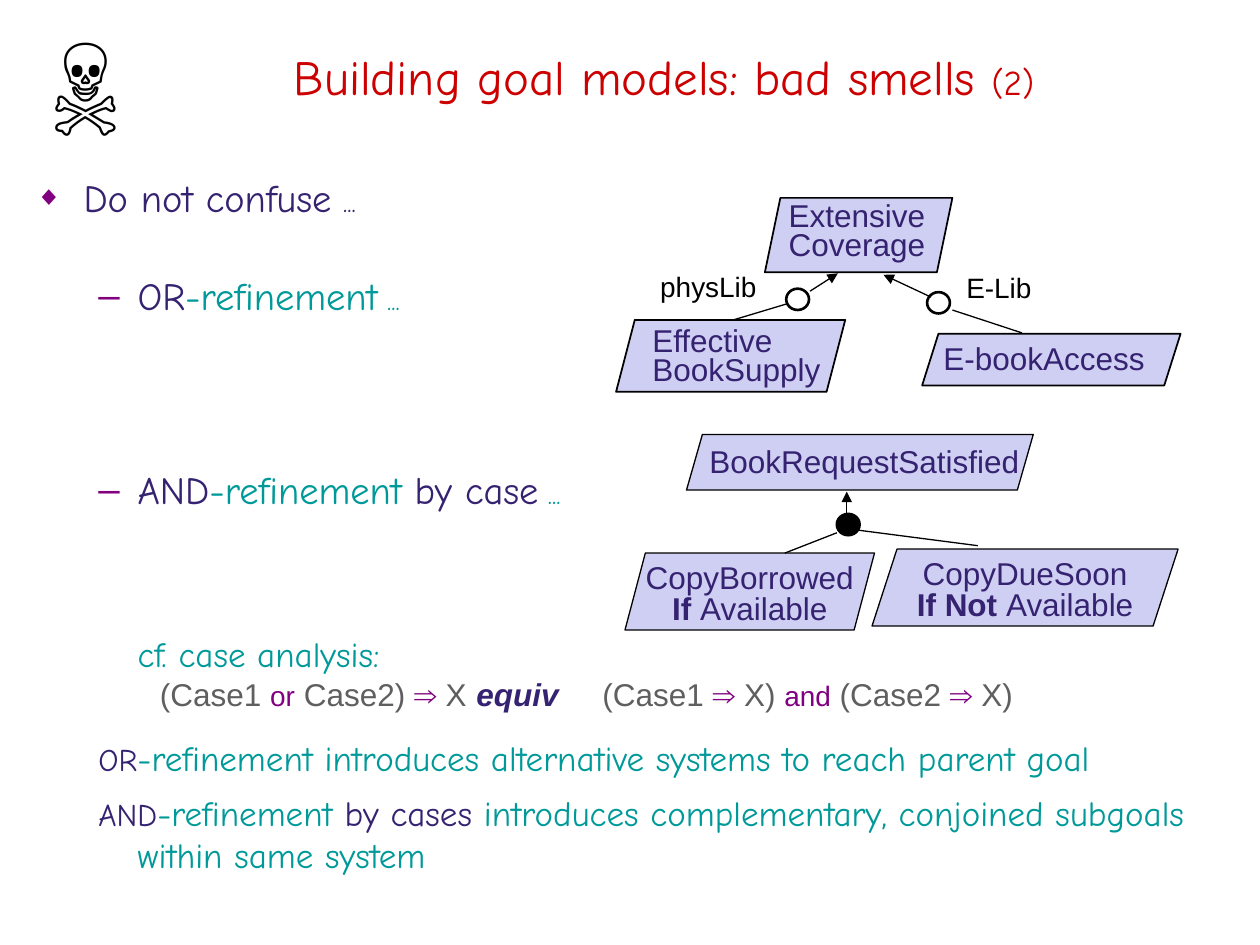
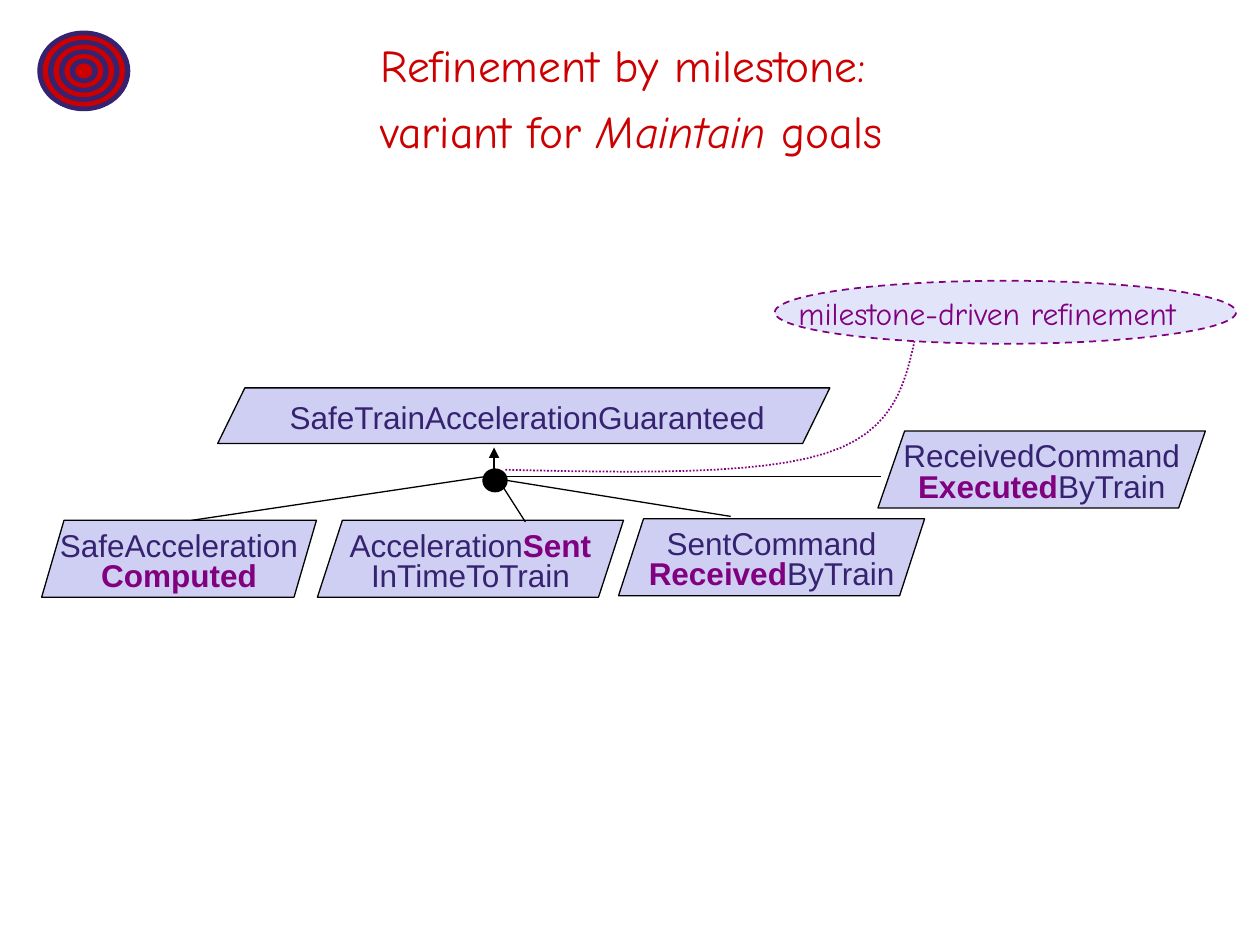
from lxml import etree
from pptx import Presentation, util as u
from pptx.dml.color import RGBColor
from pptx.enum import dml, shapes, text
from pptx.oxml import ns

INK = dict(navy="352270", teal="009999", plum="800080", red="CC0000",
           gray="5F5F5F", black="000000", lilac="CECFF2", pale="E2E5FA")
HAND, SANS = "Comic Neue", "Arial"
MID, LEFT = text.PP_ALIGN.CENTER, text.PP_ALIGN.LEFT
FORM = shapes.MSO_SHAPE


def sub(root, tag, **keys):
    node = etree.SubElement(root, ns.qn(tag))
    for key, val in keys.items():
        node.set(key, str(val))
    return node


def cms(vals):
    return [u.Cm(v) for v in vals]


def curve(a, b, c, d, steps=12):
    for i in range(1, steps + 1):
        t = i / steps
        s = 1 - t
        yield tuple(s**3 * p + 3 * s * s * t * q + 3 * s * t * t * r + t**3 * e
                    for p, q, r, e in zip(a, b, c, d))


class Deck:
    """Holds the shared style and the current slide."""

    def __init__(self):
        self.prs = Presentation()
        self.prs.slide_width, self.prs.slide_height = u.Cm(25.4), u.Cm(19.05)

    def page(self, kind):
        self.slide = self.prs.slides.add_slide(self.prs.slide_layouts[kind])

    def font(self, font, ink=None, size=None, face=None, bold=None, ital=None):
        if ink:
            font.color.rgb = RGBColor.from_string(INK[ink])
        if size:
            font.size = u.Pt(size)
        if face:
            font.name = face
        if bold is not None:
            font.bold = bold
        if ital is not None:
            font.italic = ital

    def para(self, par, runs, align=LEFT, line=1, space=0, **style):
        par.alignment, par.line_spacing = align, line
        par.space_before = u.Pt(space)
        self.font(par.font, **style)
        for run in [runs] if isinstance(runs, str) else runs:
            words, keys = (run, {}) if isinstance(run, str) else run
            if words == "\n":
                par.add_line_break()
                continue
            item = par.add_run()
            item.text = words
            self.font(item.font, **keys)

    def place(self, item, box):
        item.left, item.top, item.width, item.height = cms(box)
        frame = item.text_frame
        frame.word_wrap = True
        frame.auto_size = text.MSO_AUTO_SIZE.NONE
        frame.vertical_anchor = text.MSO_ANCHOR.MIDDLE
        return frame

    def title(self, box, runs, size, line):
        frame = self.place(self.slide.shapes.title, box)
        self.para(frame.paragraphs[0], runs, MID, line,
                  ink="red", size=size, face=HAND)

    def body(self, box, items):
        frame = self.place(self.slide.placeholders[1], box)
        for i, (runs, keys) in enumerate(items):
            par = frame.add_paragraph() if i else frame.paragraphs[0]
            keys = dict(keys)
            par.level = min(i, 1)
            self.mark(par, keys.pop("left", 2.06), keys.pop("hang", -0.79),
                      keys.pop("sign", None), keys.pop("tabs", ()))
            self.para(par, runs, **keys)

    def mark(self, par, left, hang, sign, tabs):
        prop = par._p.get_or_add_pPr()
        prop.set("marL", str(u.Cm(left)))
        prop.set("indent", str(u.Cm(hang)))
        if sign:
            sub(sub(prop, "a:buClr"), "a:srgbClr", val=INK["plum"])
            sub(prop, "a:buSzPct", val=70000 if sign == "◆" else 100000)
            sub(prop, "a:buFont", typeface=SANS)
            sub(prop, "a:buChar", char=sign)
        else:
            sub(prop, "a:buNone")
        if tabs:
            stops = sub(prop, "a:tabLst")
            for tab in tabs:
                sub(stops, "a:tab", pos=u.Cm(tab), algn="l")

    def label(self, box, rows, align=LEFT, line=1, size=18, ink="navy",
              face=SANS, anchor=text.MSO_ANCHOR.TOP, wrap=True):
        frame = self.slide.shapes.add_textbox(*cms(box)).text_frame
        frame.word_wrap, frame.vertical_anchor = wrap, anchor
        for i, runs in enumerate(rows):
            par = frame.add_paragraph() if i else frame.paragraphs[0]
            self.para(par, runs, align, line, ink=ink, size=size, face=face)

    def edge(self, item, ink, width, dash=None):
        item.line.color.rgb = RGBColor.from_string(INK[ink])
        item.line.width = u.Pt(width)
        if dash:
            item.line.dash_style = dash

    def form(self, kind, box, fill, ink="black", width=0.75, dash=None):
        item = self.slide.shapes.add_shape(kind, *cms(box))
        item.shadow.inherit = False
        if fill:
            item.fill.solid()
            item.fill.fore_color.rgb = RGBColor.from_string(INK[fill])
        else:
            item.fill.background()
        self.edge(item, ink, width, dash)
        return item

    def goal(self, box, slant, rows, line=0.8, dx=0, dy=0.13, align=MID, width=0.75):
        item = self.form(FORM.PARALLELOGRAM, box, "lilac", width=width)
        item.adjustments[0] = slant
        x, y, w, h = box
        self.label((x + dx, y + dy, w, h), rows, align, line)

    def dot(self, x, y, fill=None):
        self.form(FORM.OVAL, (x, y, 0.46, 0.43), fill, width=1.5)

    def link(self, *ends, head=False):
        item = self.slide.shapes.add_connector(
            shapes.MSO_CONNECTOR.STRAIGHT, *cms(ends))
        self.edge(item, "black", 0.75)
        if head:
            sub(item.line._get_or_add_ln(), "a:headEnd", type="triangle")
        sub(item._element.spPr, "a:effectLst")

    def trail(self, start, *arcs):
        pen = self.slide.shapes.build_freeform(*cms(start))
        for arc in arcs:
            pen.add_line_segments([cms(p) for p in curve(start, *arc)], close=False)
            start = arc[-1]
        item = pen.convert_to_shape()
        item.shadow.inherit = False
        item.fill.background()
        self.edge(item, "plum", 1, dml.MSO_LINE.ROUND_DOT)

    def rings(self, x, y, wide, high, count):
        for i in range(count):
            part = 1 - i * 0.118
            w, h = wide * part, high * part
            ink = ("navy", "red")[i % 2]
            self.form(FORM.OVAL, (x - w / 2, y - h / 2, w, h), ink, ink)


def smells(deck):
    navy, teal = dict(ink="navy"), dict(ink="teal")
    plum, black = dict(ink="plum", size=16), dict(ink="black")
    dark = dict(ink="navy", size=18)
    then = ("⇒ ", dict(ink="plum", bold=True))
    hand = dict(face=HAND, ink="teal")
    deck.page(1)
    deck.title((1.37, 0.56, 24.03, 2.11),
               ["Building goal models: bad smells ", ("(2)", dict(size=20))], 28, 0.9)
    deck.body((0.46, 2.72, 24.66, 15.44), [
        (["Do not confuse", (" ", dict(size=20)), ("...", dict(size=16))],
         dict(left=0.97, hang=-0.97, sign="◆", line=1.3, size=22, face=HAND, ink="navy")),
        ([("OR", navy), "-refinement", (" ...", dict(size=16))],
         dict(sign="–", line=1.9, space=5.5, size=22, **hand)),
        ([("AND", navy), "-refinement ", ("by case", navy), (" ...", dict(size=16))],
         dict(sign="–", line=4, space=5.5, size=22, **hand)),
        ("cf. case analysis:", dict(hang=0, line=2.7, space=28, size=20, **hand)),
        (["(Case1 ", ("or", plum), (" ", black), "Case2) ", then, "X\t",
          ("equiv", dict(ink="navy", bold=True, ital=True)), "\t(Case1 ", then, "X) ",
          ("and", plum), (" ", black), "(Case2 ", then, "X)"],
         dict(left=0, hang=2.51, tabs=(9.37, 11.75), size=18, face=SANS, ink="gray")),
        ([("OR", dark), "-refinement introduces alternative systems to reach parent goal"],
         dict(line=1.2, space=9, size=20, **hand)),
        ([("AND", dark), "-refinement ", ("by cases", navy),
          " introduces complementary, conjoined subgoals within same system"],
         dict(space=7.2, size=20, **hand)),
    ])

    deck.link(19.2, 6.25, 20.6, 6.71)
    deck.goal((15.42, 3.99, 3.78, 1.5), 0.208, ["Extensive", "Coverage"],
              0.75, 0.23, 0.02, LEFT, 1)
    deck.goal((12.42, 6.45, 4.62, 1.45), 0.26, ["Effective", "BookSupply"],
              0.75, 0.48, 0.08, LEFT, 1)
    deck.goal((18.59, 6.73, 5.21, 1.04), 0.316, ["E-bookAccess"],
              0.8, 0.18, 0.13, LEFT, 1)
    deck.link(15.88, 6.12, 14.78, 6.45)
    deck.dot(15.85, 5.82)
    deck.link(16.89, 5.51, 16.33, 5.87, head=True)
    deck.dot(18.69, 5.89)
    deck.link(17.81, 5.54, 18.77, 5.99, head=True)
    deck.label((13.06, 5.31, 2.62, 0.91), ["physLib"], size=16, ink="black")
    deck.label((19.23, 5.33, 1.88, 0.91), ["E-Lib"], size=16, ink="black")

    bold = dict(bold=True)
    deck.goal((13.84, 8.76, 6.99, 1.12), 0.286, ["BookRequestSatisfied"],
              1, 0.21, 0.03, LEFT)
    deck.goal((12.6, 11.15, 5.03, 1.55), 0.265,
              ["CopyBorrowed", [("If ", bold), "Available"]])
    deck.link(17.32, 10.69, 19.71, 11)
    deck.link(17.07, 9.91, 17.07, 10.41, head=True)
    deck.link(16.87, 10.74, 15.82, 11.15)
    deck.dot(16.87, 10.36, "black")
    deck.goal((17.58, 11.07, 6.17, 1.55), 0.325,
              ["CopyDueSoon", [("If Not ", bold), "Available"]])
    deck.label((0.61, 0.08, 2.24, 2.77), ["☠"], MID, 1.1, 54, "black",
               anchor=text.MSO_ANCHOR.MIDDLE)


def stages(deck):
    key = dict(ink="plum", bold=True)
    deck.page(5)
    deck.title((2.49, 0.46, 20.47, 2.79),
               ["Refinement by milestone: ", "\n", "variant for ",
                ("Maintain", dict(ital=True)), " goals"], 26, 1.2)
    deck.goal((4.39, 7.82, 12.34, 1.12), 0.489,
              ["SafeTrainAccelerationGuaranteed"], 1, 0.07, 0.08)
    deck.link(9.96, 9.02, 9.96, 9.5, head=True)
    deck.link(9.83, 9.6, 3.86, 10.49)
    deck.dot(9.75, 9.47, "black")
    deck.link(10.19, 9.68, 14.73, 10.41)
    for x, y, wide, slant, rows in (
            (6.4, 10.49, 6.17, 0.325, [["Acceleration", ("Sent", key)], "InTimeToTrain"]),
            (0.84, 10.49, 5.54, 0.291, ["SafeAcceleration", [("Computed", key)]]),
            (12.47, 10.46, 6.17, 0.325, ["SentCommand", [("Received", key), "ByTrain"]]),
            (17.7, 8.69, 6.6, 0.347, ["ReceivedCommand", [("Executed", key), "ByTrain"]])):
        deck.goal((x, y, wide, 1.55), slant, rows)
    deck.link(10.13, 9.8, 10.59, 10.52)
    deck.link(10.13, 9.6, 17.75, 9.6)
    deck.trail((10.19, 9.47),
               ((12.73, 9.53), (15.27, 9.58), (16.64, 9.14)),
               ((18.01, 8.71), (18.24, 7.77), (18.44, 6.86)))
    deck.rings(1.69, 1.43, 1.85, 1.6, 8)
    deck.form(FORM.OVAL, (15.62, 5.66, 9.3, 1.27), "pale", "plum", 1, dml.MSO_LINE.DASH)
    deck.label((15.44, 5.79, 8.92, 1.02), ["milestone-driven refinement"], MID,
               ink="plum", face=HAND, anchor=text.MSO_ANCHOR.MIDDLE, wrap=False)


def main():
    deck = Deck()
    smells(deck)
    stages(deck)
    deck.prs.save("out.pptx")


if __name__ == "__main__":
    main()
